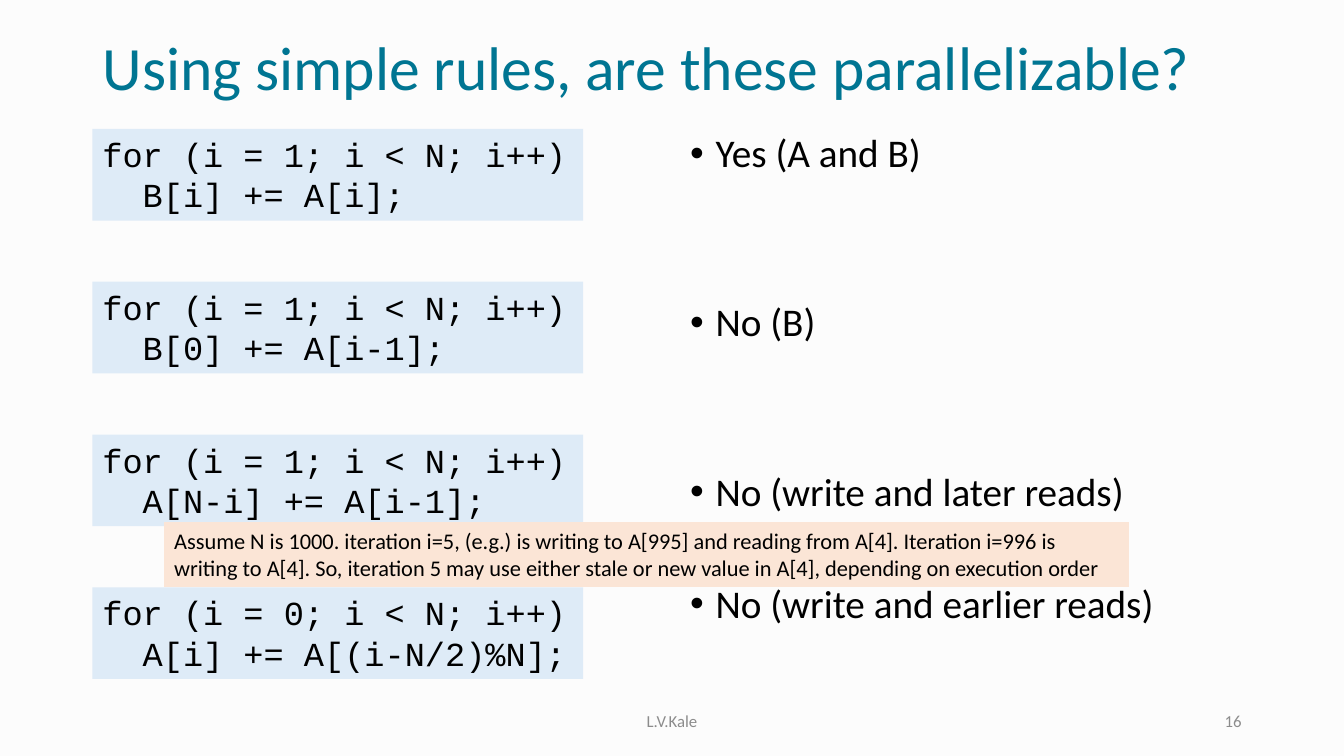
import lxml.etree
import pptx
import pptx.dml.color
import pptx.enum.shapes
import pptx.enum.text
import pptx.oxml.ns
import pptx.util
from pptx.enum.text import MSO_ANCHOR, PP_ALIGN
from pptx.util import Cm

RGBColor = pptx.dml.color.RGBColor
PAPER = RGBColor(0xFC, 0xFC, 0xFC)
TEAL = RGBColor(0x00, 0x75, 0x92)
BLACK = RGBColor(0x00, 0x00, 0x00)
GREY = RGBColor(0x8C, 0x8C, 0x8C)
PALE_BLUE = RGBColor(0xDE, 0xEB, 0xF7)
PALE_ORANGE = RGBColor(0xFB, 0xE5, 0xD6)

LEFT = 2.33
LOOPS_TOP, LOOP_PITCH = 3.25, 3.85
FOOTER_TOP, FOOTER_HEIGHT = 17.65, 1.02

LOOPS = [
    "for (i = 1; i < N; i++)\n  B[i] += A[i];",
    "for (i = 1; i < N; i++)\n  B[0] += A[i-1];",
    "for (i = 1; i < N; i++)\n  A[N-i] += A[i-1];",
    "for (i = 0; i < N; i++)\n  A[i] += A[(i-N/2)%N];",
]
# Each answer with the space before it in points
ANSWERS = [
    ("Yes (A and B)", 0),
    ("No (B)", 90.5),
    ("No (write and later reads)", 90.5),
    ("No (write and earlier reads)", 50),
]
NOTE = (
    "Assume N is 1000. iteration i=5, (e.g.) is writing to A[995] and reading "
    "from A[4]. Iteration i=996 is writing to A[4]. So, iteration 5 may use "
    "either stale or new value in A[4], depending on execution order"
)


def write(para, text, *, size, font="Calibri", color=BLACK,
          align=PP_ALIGN.LEFT, line_spacing=None, space_before=0):
    para.alignment = align
    para.space_before = pptx.util.Pt(space_before)
    if line_spacing:
        para.line_spacing = line_spacing
    span = para.add_run()
    span.text = text
    span.font.size = pptx.util.Pt(size)
    span.font.name = font
    span.font.color.rgb = color


def add_bullet(para):
    properties = para._p.get_or_add_pPr()
    properties.set("marL", str(Cm(0.64)))
    properties.set("indent", str(-Cm(0.64)))
    for tag, name, value in (("a:buFont", "typeface", "Arial"),
                             ("a:buChar", "char", "•")):
        bullet = lxml.etree.SubElement(properties, pptx.oxml.ns.qn(tag))
        bullet.set(name, value)


class SlideBuilder:
    def __init__(self, deck):
        self.slide = deck.slides.add_slide(deck.slide_layouts[1])
        background = self.slide.background.fill
        background.solid()
        background.fore_color.rgb = PAPER

    def prepare(self, box, anchor):
        """Set the wrapping and anchor of a box and return its text frame."""
        frame = box.text_frame
        frame.word_wrap = True
        frame.auto_size = pptx.enum.text.MSO_AUTO_SIZE.NONE
        frame.vertical_anchor = anchor
        return frame

    def place(self, box, left, top, width, height):
        box.left, box.top = Cm(left), Cm(top)
        box.width, box.height = Cm(width), Cm(height)

    def title(self, text):
        box = self.slide.shapes.title
        self.place(box, LEFT, 0.71, 29.21, 2.13)
        frame = self.prepare(box, MSO_ANCHOR.MIDDLE)
        write(frame.paragraphs[0], text, size=44, color=TEAL, line_spacing=0.9)

    def answers(self, items):
        box = self.slide.placeholders[1]
        self.place(box, 17.14, LOOPS_TOP, 14.4, 13.92)
        frame = self.prepare(box, MSO_ANCHOR.TOP)
        for index, (text, gap) in enumerate(items):
            para = frame.add_paragraph() if index else frame.paragraphs[0]
            add_bullet(para)
            write(para, text, size=28, line_spacing=0.9, space_before=gap)

    def panel(self, text, left, top, width, height, fill, **style):
        """Draw a filled rectangle with one paragraph per line of text."""
        box = self.slide.shapes.add_shape(
            pptx.enum.shapes.MSO_SHAPE.RECTANGLE,
            Cm(left), Cm(top), Cm(width), Cm(height))
        box.shadow.inherit = False
        box.fill.solid()
        box.fill.fore_color.rgb = fill
        box.line.fill.background()
        frame = self.prepare(box, MSO_ANCHOR.TOP)
        for index, line in enumerate(text.split("\n")):
            para = frame.add_paragraph() if index else frame.paragraphs[0]
            write(para, line, **style)

    def footer(self, text, left, width, align):
        box = self.slide.shapes.add_textbox(
            Cm(left), Cm(FOOTER_TOP), Cm(width), Cm(FOOTER_HEIGHT))
        frame = self.prepare(box, MSO_ANCHOR.MIDDLE)
        write(frame.paragraphs[0], text, size=12, color=GREY, align=align)


def main():
    deck = pptx.Presentation()
    deck.slide_width, deck.slide_height = Cm(33.87), Cm(19.05)
    builder = SlideBuilder(deck)
    builder.title("Using simple rules, are these parallelizable?")
    builder.answers(ANSWERS)
    builder.footer("L.V.Kale", 11.22, 11.43, PP_ALIGN.CENTER)
    builder.footer("16", 23.92, 7.62, PP_ALIGN.RIGHT)
    for row, code in enumerate(LOOPS):
        builder.panel(code, LEFT, LOOPS_TOP + row * LOOP_PITCH, 12.37, 2.31,
                      PALE_BLUE, size=24, font="Courier New")
    builder.panel(NOTE, 4.14, 13.16, 24.31, 1.63, PALE_ORANGE, size=16)
    deck.save("out.pptx")


if __name__ == "__main__":
    main()
